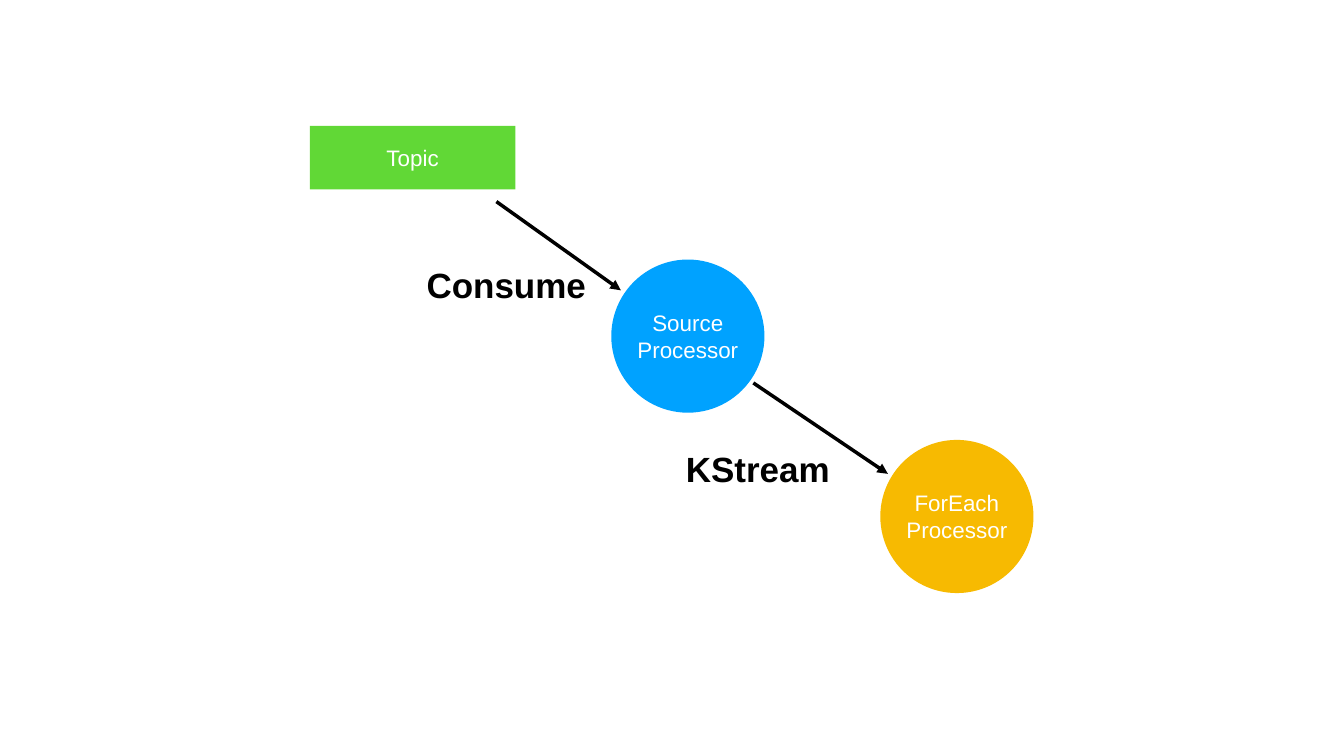
from lxml import etree
from pptx import Presentation
from pptx.dml.color import RGBColor
from pptx.enum.shapes import MSO_CONNECTOR, MSO_SHAPE
from pptx.enum.text import MSO_ANCHOR, MSO_AUTO_SIZE, PP_ALIGN
from pptx.oxml.ns import qn
from pptx.util import Cm, Pt

RECT, OVAL = MSO_SHAPE.RECTANGLE, MSO_SHAPE.OVAL
STRAIGHT = MSO_CONNECTOR.STRAIGHT
MIDDLE, CENTER = MSO_ANCHOR.MIDDLE, PP_ALIGN.CENTER
FIT_SHAPE = MSO_AUTO_SIZE.SHAPE_TO_FIT_TEXT

BLACK = RGBColor(0x00, 0x00, 0x00)
WHITE = RGBColor(0xFF, 0xFF, 0xFF)
GREEN = RGBColor(0x61, 0xD8, 0x36)
BLUE = RGBColor(0x00, 0xA2, 0xFF)
YELLOW = RGBColor(0xF7, 0xBA, 0x01)

FONT = "Arial"
CIRCLE = 7.72
LABEL_HEIGHT = 2.39


def write(tf, text, size=32, color=WHITE, bold=False, inset=0, wrap=True):
    """Fill a text frame, one centred paragraph for each line of text."""
    tf.word_wrap = wrap
    tf.vertical_anchor = MIDDLE
    tf.margin_left = tf.margin_right = Cm(inset)
    tf.margin_top = tf.margin_bottom = Cm(inset)
    for i, line in enumerate(text.split("\n")):
        p = tf.paragraphs[0] if i == 0 else tf.add_paragraph()
        p.alignment = CENTER
        r = p.add_run()
        r.text = line
        r.font.name = FONT
        r.font.size = Pt(size)
        r.font.bold = bold
        r.font.color.rgb = color


def add_node(s, kind, text, fill, x, y, w, h):
    sp = s.shapes.add_shape(kind, Cm(x), Cm(y), Cm(w), Cm(h))
    sp.shadow.inherit = False
    sp.fill.solid()
    sp.fill.fore_color.rgb = fill
    sp.line.fill.background()
    write(sp.text_frame, text)


def add_label(s, text, x, y, w):
    sp = s.shapes.add_textbox(Cm(x), Cm(y), Cm(w), Cm(LABEL_HEIGHT))
    write(sp.text_frame, text, size=50, color=BLACK, bold=True, inset=0.14, wrap=False)
    sp.text_frame.auto_size = FIT_SHAPE


def add_arrow(s, x1, y1, x2, y2):
    c = s.shapes.add_connector(STRAIGHT, Cm(x1), Cm(y1), Cm(x2), Cm(y2))
    c.line.color.rgb = BLACK
    c.line.width = Pt(5)
    etree.SubElement(c.line._get_or_add_ln(), qn("a:tailEnd"), type="triangle")
    etree.SubElement(c._element.spPr, qn("a:effectLst"))


def add_topology(s, x, y):
    """Draw the chain of topic and processors from its top left corner."""
    add_node(s, OVAL, "Source\nProcessor", BLUE, x + 15.19, y + 6.73, CIRCLE, CIRCLE)
    add_node(s, OVAL, "ForEach\nProcessor", YELLOW, x + 28.75, y + 15.82, CIRCLE, CIRCLE)
    add_node(s, RECT, "Topic", GREEN, x, y, 10.36, 3.2)
    add_arrow(s, x + 9.4, y + 3.81, x + 15.67, y + 8.28)
    add_arrow(s, x + 22.35, y + 12.95, x + 29.13, y + 17.53)
    add_label(s, "Consume", x + 5.72, y + 6.81, 8.36)
    add_label(s, "KStream", x + 18.75, y + 16.08, 7.65)


def main():
    prs = Presentation()
    prs.slide_width, prs.slide_height = Cm(67.74), Cm(38.1)
    s = prs.slides.add_slide(prs.slide_layouts[6])
    add_topology(s, 15.62, 6.35)
    prs.save("out.pptx")


if __name__ == "__main__":
    main()
